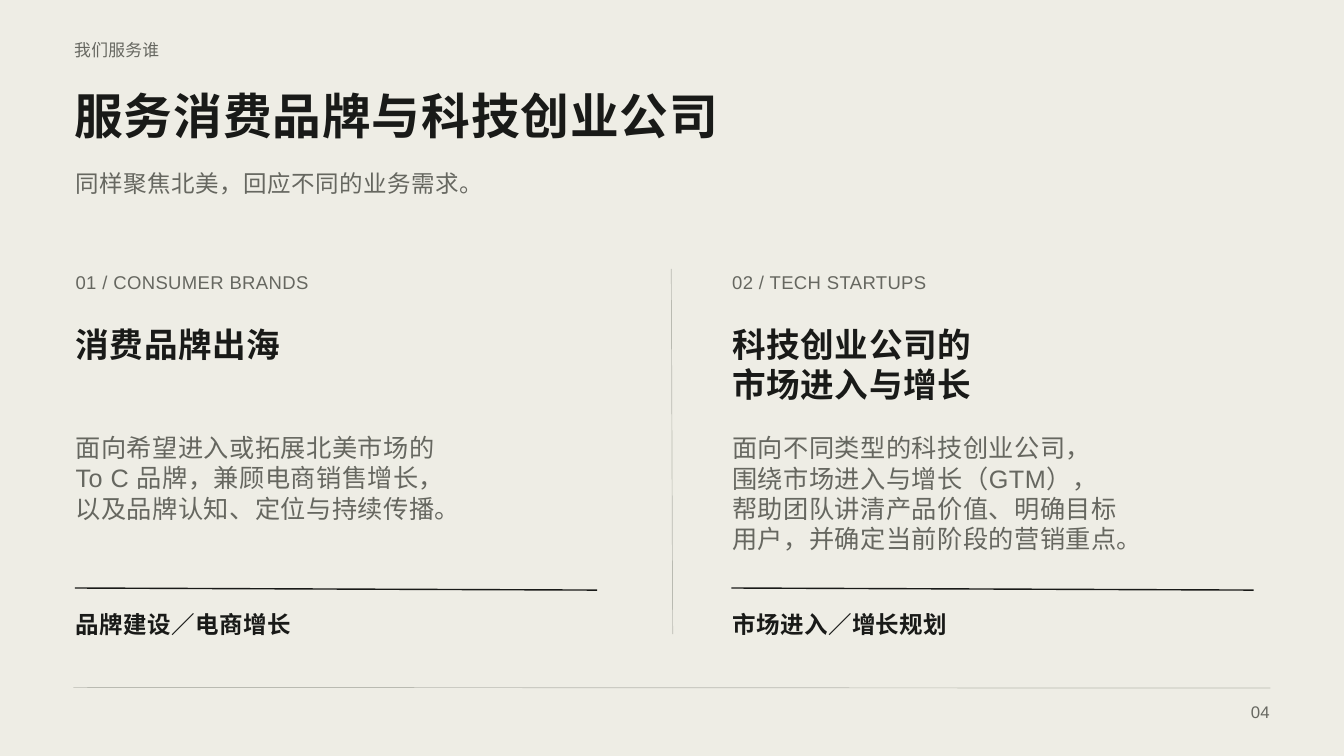
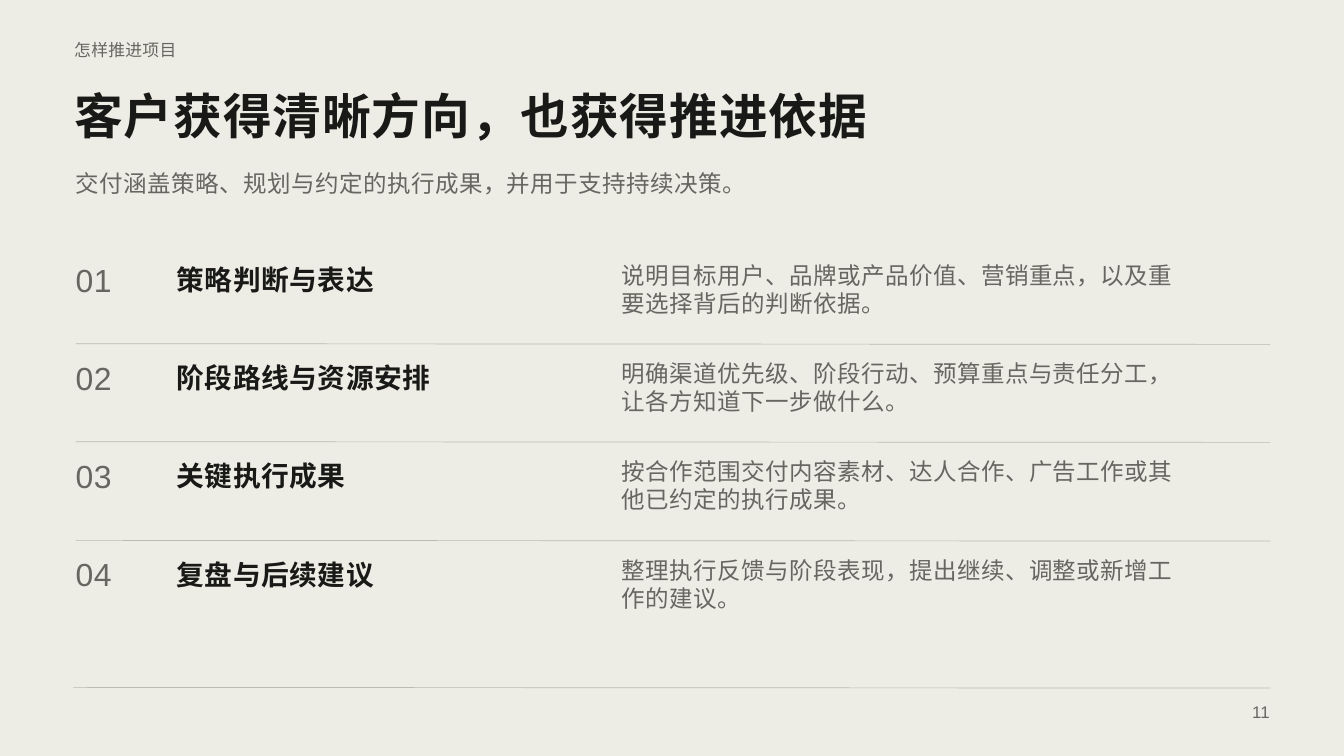
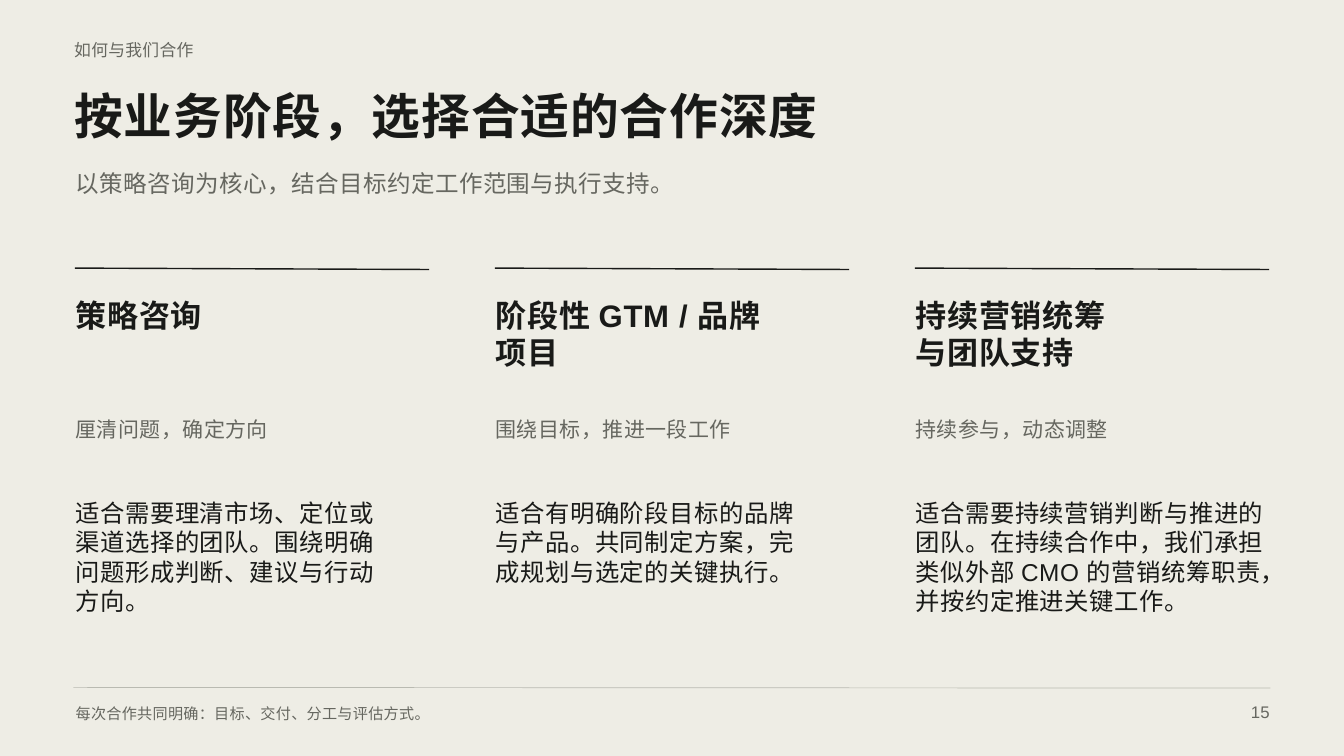
from collections import namedtuple

from lxml import etree
from pptx import Presentation
from pptx import util as u
from pptx.dml.color import RGBColor
from pptx.enum import shapes, text
from pptx.oxml import ns

PX = 9525  # EMU in one px, 96 px to the inch
PAPER = RGBColor(0xEE, 0xED, 0xE5)
INK = RGBColor(0x19, 0x1A, 0x18)
GREY = RGBColor(0x66, 0x67, 0x60)
RULE = RGBColor(0xB9, 0xBA, 0xB1)
FONT = "Arial"
LEADING = 1.2

LEFT = 108

# Size and letter spacing in points
Style = namedtuple("Style", "size tracking color bold", defaults=(GREY, False))
SMALL = Style(18, 0.3)
TITLE = Style(52.2, 1, INK, True)
SUBTITLE = Style(25.2, 0.5)
NOTE = Style(16.2, 0.3)
LABEL = Style(19.8, 0.4)
AUDIENCE = Style(36, 0.7, INK, True)
AUDIENCE_BODY = Style(27, 0.5)
FOCUS = Style(25.2, 0.5, INK, True)
NUMBER = Style(34.2, 0.7)
DELIVERABLE = Style(29.7, 0.6, INK, True)
PLAN = Style(33.3, 0.7, INK, True)
PLAN_AIM = Style(22.5, 0.4)
PLAN_BODY = Style(26.1, 0.5, INK)

AUDIENCES = [
    ("01 / CONSUMER BRANDS", "消费品牌出海",
     "面向希望进入或拓展北美市场的\nTo C 品牌，兼顾电商销售增长，\n以及品牌认知、定位与持续传播。",
     "品牌建设／电商增长"),
    ("02 / TECH STARTUPS", "科技创业公司的\n市场进入与增长",
     "面向不同类型的科技创业公司，\n围绕市场进入与增长（GTM），\n"
     "帮助团队讲清产品价值、明确目标\n用户，并确定当前阶段的营销重点。",
     "市场进入／增长规划"),
]
DELIVERABLES = [
    ("策略判断与表达",
     "说明目标用户、品牌或产品价值、营销重点，以及重\n要选择背后的判断依据。"),
    ("阶段路线与资源安排",
     "明确渠道优先级、阶段行动、预算重点与责任分工，\n让各方知道下一步做什么。"),
    ("关键执行成果",
     "按合作范围交付内容素材、达人合作、广告工作或其\n他已约定的执行成果。"),
    ("复盘与后续建议",
     "整理执行反馈与阶段表现，提出继续、调整或新增工\n作的建议。"),
]
# Heading, heading height, aim, body, body height
PLANS = [
    ("策略咨询", 146, "厘清问题，确定方向",
     "适合需要理清市场、定位或\n渠道选择的团队。围绕明确\n问题形成判断、建议与行动\n方向。", 166),
    ("阶段性 GTM / 品牌\n项目", 146, "围绕目标，推进一段工作",
     "适合有明确阶段目标的品牌\n与产品。共同制定方案，完\n成规划与选定的关键执行。", 125),
    ("持续营销统筹\n与团队支持", 107, "持续参与，动态调整",
     "适合需要持续营销判断与推进的团队。在持续合作中，我们承担"
     "类似外部 CMO 的营销统筹职责，并按约定推进关键工作。", 166),
]


def add_text(page, words, style, left, top, width, height=None, align=None):
    """Place text; without a height the box takes that of its lines."""
    lines = words.split("\n")
    if height is None:
        height = round(len(lines) * style.size * LEADING * u.Pt(1) / PX)
    box = page.shapes.add_textbox(*(v * PX for v in (left, top, width, height)))
    frame = box.text_frame
    frame_format = dict(margin_left=0, margin_top=0, margin_right=0, margin_bottom=0,
                        word_wrap=True, auto_size=text.MSO_AUTO_SIZE.SHAPE_TO_FIT_TEXT)
    for name, value in frame_format.items():
        setattr(frame, name, value)
    for index, line in enumerate(lines):
        para = frame.add_paragraph() if index else frame.paragraphs[0]
        para.line_spacing = u.Pt(round(style.size * LEADING, 1))
        para.alignment = align
        span = para.add_run()
        span.text = line
        for name, value in dict(name=FONT, size=u.Pt(style.size), bold=style.bold).items():
            setattr(span.font, name, value)
        span.font.color.rgb = style.color
        span.font._element.set("spc", str(round(style.tracking * 100)))


def add_line(page, x1, y1, x2, y2, color=RULE, weight=0.75):
    line = page.shapes.add_connector(
        shapes.MSO_CONNECTOR.STRAIGHT, *(v * PX for v in (x1, y1, x2, y2)))
    line.line.color.rgb = color
    line.line.width = u.Pt(weight)
    etree.SubElement(line._element.spPr, ns.qn("a:effectLst"))


def add_page(deck, section, title, subtitle, number, title_height=112, subtitle_height=106):
    """Add a page with its background, header and footer."""
    page = deck.slides.add_slide(deck.slide_layouts[6])
    page.background.fill.solid()
    page.background.fill.fore_color.rgb = PAPER
    # Header
    add_text(page, section, SMALL, 106, 56, 1320, 45)
    add_text(page, title, TITLE, 106, 122, 1709, title_height)
    add_text(page, subtitle, SUBTITLE, LEFT, 242, 1680, subtitle_height)
    # Footer
    add_line(page, 105, 982, 1815, 983)
    add_text(page, number, SMALL, 1721, 1002, 93, 30, text.PP_ALIGN.RIGHT)
    return page


def add_audience(page, left, top, label, heading, body, focus):
    add_text(page, label, LABEL, left, top, 744, 45)
    add_text(page, heading, AUDIENCE, left, top + 75, 768)
    add_text(page, body, AUDIENCE_BODY, left, top + 231, 765)
    add_line(page, left - 1, top + 453, left + 745, top + 456, INK, 1.5)
    add_text(page, focus, FOCUS, left, top + 485, 744, 42)


def add_deliverable(page, left, top, number, heading, body):
    add_text(page, number, NUMBER, left, top, 114, 76)
    add_text(page, heading, DELIVERABLE, left + 144, top + 4, 564, 70)
    add_text(page, body, SUBTITLE, left + 780, top + 1, 926, 103)


def add_plan(page, left, top, heading, heading_height, aim, body, body_height):
    add_line(page, left - 1, top, left + 505, top + 2, INK, 1.5)
    add_text(page, heading, PLAN, left, top + 40, 504, heading_height)
    add_text(page, aim, PLAN_AIM, left, top + 212, 504, 38)
    add_text(page, body, PLAN_BODY, left, top + 329, 504, body_height)


def build_audiences(deck):
    page = add_page(deck, "我们服务谁", "服务消费品牌与科技创业公司",
                    "同样聚焦北美，回应不同的业务需求。", "04", 85, 42)
    add_line(page, 959, 384, 961, 906)
    for index, audience in enumerate(AUDIENCES):
        add_audience(page, LEFT + index * 938, 387, *audience)


def build_deliverables(deck):
    page = add_page(deck, "怎样推进项目", "客户获得清晰方向，也获得推进依据",
                    "交付涵盖策略、规划与约定的执行成果，并用于支持持续决策。", "11")
    for index, deliverable in enumerate(DELIVERABLES):
        top = 372 + index * 421 // 3  # four rows spread evenly over 421 px
        if index:
            add_line(page, LEFT, top - 21, 1815, top - 20)
        add_deliverable(page, LEFT, top, f"{index + 1:02}", *deliverable)


def build_plans(deck):
    page = add_page(deck, "如何与我们合作", "按业务阶段，选择合适的合作深度",
                    "以策略咨询为核心，结合目标约定工作范围与执行支持。", "15")
    add_text(page, "每次合作共同明确：目标、交付、分工与评估方式。", NOTE, LEFT, 1006, 1512, 27)
    for index, plan in enumerate(PLANS):
        add_plan(page, LEFT + index * 600, 383, *plan)


def main():
    deck = Presentation()
    deck.slide_width, deck.slide_height = 1920 * PX, 1080 * PX
    build_audiences(deck)
    build_deliverables(deck)
    build_plans(deck)
    deck.save("out.pptx")


if __name__ == "__main__":
    main()
